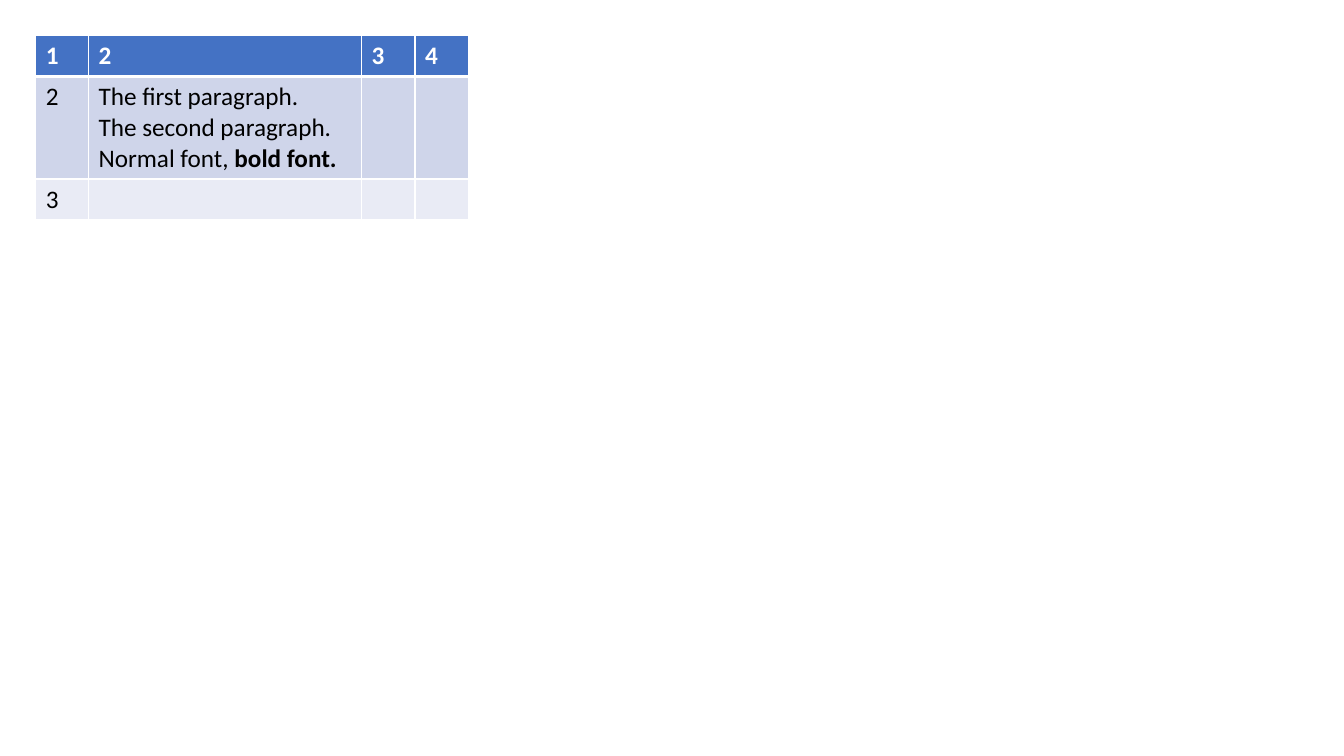
from lxml.etree import SubElement
from pptx import Presentation
from pptx.dml.color import RGBColor
from pptx.oxml.ns import qn
from pptx.util import Cm, Pt

WHITE = RGBColor(0xFF, 0xFF, 0xFF)
BLACK = RGBColor(0x00, 0x00, 0x00)
HEADER_BLUE = RGBColor(0x44, 0x72, 0xC4)
BAND_DARK = RGBColor(0xCF, 0xD5, 0xEA)
BAND_LIGHT = RGBColor(0xE9, 0xEB, 0xF5)

COLUMN_WIDTHS = [1.33, 6.88, 1.35, 1.35]
ROW_HEIGHT = 0.71
ROW_FILLS = [HEADER_BLUE, BAND_DARK, BAND_LIGHT]

# Each cell is a list of paragraphs, each paragraph a list of (text, bold) runs.
ROWS = [
    [[[(number, True)]] for number in "1234"],
    [
        [[("2", False)]],
        [
            [("The first paragraph.", False)],
            [("The second paragraph.", False)],
            [("Normal font, ", False), ("bold font.", True)],
        ],
        [],
        [],
    ],
    [[[("3", False)]], [], [], []],
]


class SlideBuilder:
    font_name = "Calibri"
    font_size = Pt(18)

    def __init__(self, slide):
        self.slide = slide

    def style(self, font, color, bold=False):
        font.name = self.font_name
        font.size = self.font_size
        font.color.rgb = color
        font.bold = bold

    def border(self, cell, side, width):
        ln = SubElement(cell._tc.get_or_add_tcPr(), qn(f"a:ln{side}"), w=str(Pt(width)))
        fill = SubElement(ln, qn("a:solidFill"))
        SubElement(fill, qn("a:srgbClr"), val=str(WHITE))

    def text(self, cell, paragraphs, color):
        tf = cell.text_frame
        if not paragraphs:
            self.style(tf.paragraphs[0].font, color)
        for i, runs in enumerate(paragraphs):
            p = tf.add_paragraph() if i else tf.paragraphs[0]
            for text, bold in runs:
                r = p.add_run()
                r.text = text
                self.style(r.font, color, bold)

    def table(self, left, top, height):
        sp = self.slide.shapes.add_table(
            len(ROWS), len(COLUMN_WIDTHS), Cm(left), Cm(top),
            Cm(sum(COLUMN_WIDTHS)), Cm(height))
        table = sp.table
        for column, width in zip(table.columns, COLUMN_WIDTHS):
            column.width = Cm(width)
        for i, row in enumerate(table.rows):
            row.height = Cm(ROW_HEIGHT)
            for cell, paragraphs in zip(row.cells, ROWS[i]):
                for side in "LRTB":
                    thick = (i, side) in [(0, "B"), (1, "T")]
                    self.border(cell, side, 3 if thick else 1)
                cell.fill.solid()
                cell.fill.fore_color.rgb = ROW_FILLS[i]
                self.text(cell, paragraphs, BLACK if i else WHITE)
        sp.height = Cm(height)


def main():
    prs = Presentation()
    prs.slide_width, prs.slide_height = Cm(33.87), Cm(19.05)
    s = SlideBuilder(prs.slides.add_slide(prs.slide_layouts[6]))
    s.table(0.9, 0.9, 4.57)
    prs.save("out.pptx")


if __name__ == "__main__":
    main()
